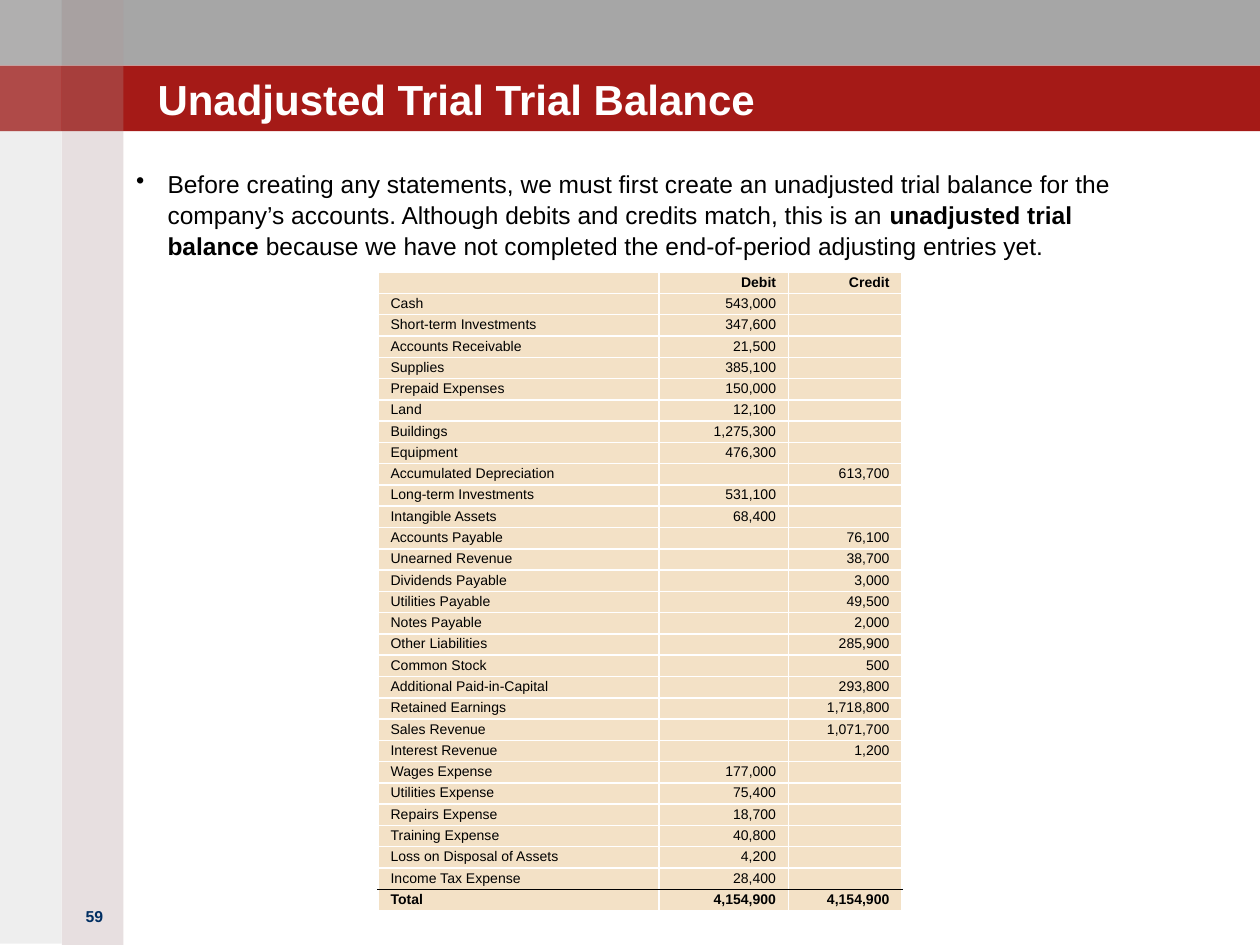
from dataclasses import dataclass

from lxml import etree
from pptx import Presentation
from pptx import util as u
from pptx.dml.color import RGBColor
from pptx.enum import shapes, text
from pptx.oxml.ns import qn


@dataclass(frozen=True)
class Theme:
    font: str = "Arial"
    black: str = "000000"
    white: str = "FFFFFF"
    gray: str = "A6A6A6"
    red: str = "A51A17"
    mauve: str = "A08284"
    taupe: str = "938F8F"
    navy: str = "002E62"
    sand: str = "F3E1C6"
    title_size: float = 24
    body_size: float = 14
    number_size: float = 9
    table_size: float = 8


ACCOUNTS = [
    ("", "Debit", "Credit"),
    ("Cash", "543,000", ""),
    ("Short-term Investments", "347,600", ""),
    ("Accounts Receivable", "21,500", ""),
    ("Supplies", "385,100", ""),
    ("Prepaid Expenses", "150,000", ""),
    ("Land", "12,100", ""),
    ("Buildings", "1,275,300", ""),
    ("Equipment", "476,300", ""),
    ("Accumulated Depreciation", "", "613,700"),
    ("Long-term Investments", "531,100", ""),
    ("Intangible Assets", "68,400", ""),
    ("Accounts Payable", "", "76,100"),
    ("Unearned Revenue", "", "38,700"),
    ("Dividends Payable", "", "3,000"),
    ("Utilities Payable", "", "49,500"),
    ("Notes Payable", "", "2,000"),
    ("Other Liabilities", "", "285,900"),
    ("Common Stock", "", "500"),
    ("Additional Paid-in-Capital", "", "293,800"),
    ("Retained Earnings", "", "1,718,800"),
    ("Sales Revenue", "", "1,071,700"),
    ("Interest Revenue", "", "1,200"),
    ("Wages Expense", "177,000", ""),
    ("Utilities Expense", "75,400", ""),
    ("Repairs Expense", "18,700", ""),
    ("Training Expense", "40,800", ""),
    ("Loss on Disposal of Assets", "4,200", ""),
    ("Income Tax Expense", "28,400", ""),
    ("Total", "4,154,900", "4,154,900"),
]


class SlideBuilder:
    def __init__(self, slide, theme):
        self.slide = slide
        self.theme = theme

    def band(self, left, top, width, height, color, opacity=100):
        rect = self.slide.shapes.add_shape(
            shapes.MSO_SHAPE.RECTANGLE, *map(u.Inches, (left, top, width, height)))
        rect.shadow.inherit = False
        rect.fill.solid()
        rect.fill.fore_color.rgb = RGBColor.from_string(color)
        rect.line.fill.background()
        if opacity < 100:
            fill_color = rect.fill._xPr.find(".//" + qn("a:srgbClr"))
            etree.SubElement(fill_color, qn("a:alpha"), val=str(opacity * 1000))

    def format_run(self, run, size, color, bold=False):
        run.font.name = self.theme.font
        run.font.size = u.Pt(size)
        run.font.bold = bold
        run.font.color.rgb = RGBColor.from_string(color)

    def text_box(self, left, top, width, height, parts, size, color, inset=0,
                 anchor=text.MSO_ANCHOR.TOP, align=text.PP_ALIGN.LEFT):
        """Add one paragraph made of (words, bold) parts and return it."""
        frame = self.slide.shapes.add_textbox(
            *map(u.Inches, (left, top, width, height))).text_frame
        frame.word_wrap = True
        frame.vertical_anchor = anchor
        frame.margin_left = frame.margin_right = u.Inches(inset)
        frame.margin_top = frame.margin_bottom = u.Inches(inset)
        paragraph = frame.paragraphs[0]
        paragraph.alignment = align
        for words, bold in parts:
            run = paragraph.add_run()
            run.text = words
            self.format_run(run, size, color, bold)
        return paragraph

    def bullet(self, paragraph, indent):
        properties = paragraph._p.get_or_add_pPr()
        properties.set("marL", str(u.Inches(indent)))
        properties.set("indent", str(-u.Inches(indent)))
        etree.SubElement(properties, qn("a:buChar"), char="•")

    def cell_border(self, cell, side):
        properties = cell._tc.get_or_add_tcPr()
        line = etree.Element(qn("a:" + side), w=str(u.Pt(1)))
        fill = etree.SubElement(line, qn("a:solidFill"))
        etree.SubElement(fill, qn("a:srgbClr"), val=self.theme.black)
        properties.insert(0, line)

    def ledger(self, left, top, height, widths, rows):
        """Add the table; its first and last rows are bold, the last ruled off."""
        frame = self.slide.shapes.add_table(
            len(rows), len(widths), u.Inches(left), u.Inches(top),
            u.Inches(sum(widths)), u.Inches(height))
        table = frame.table
        table.first_row = table.horz_banding = False
        for column, width in zip(table.columns, widths):
            column.width = u.Inches(width)
        last = len(rows) - 1
        for r, values in enumerate(rows):
            table.rows[r].height = u.Inches(height) // len(rows)
            for c, value in enumerate(values):
                cell = table.cell(r, c)
                self.ledger_cell(cell, value, c > 0, r in (0, last))
                if r == last - 1:
                    self.cell_border(cell, "lnB")
                elif r == last:
                    self.cell_border(cell, "lnT")

    def ledger_cell(self, cell, value, is_amount, bold):
        cell.fill.solid()
        cell.fill.fore_color.rgb = RGBColor.from_string(self.theme.sand)
        cell.margin_left = cell.margin_right = u.Inches(0.1)
        cell.margin_top = cell.margin_bottom = u.Pt(1.3)
        paragraph = cell.text_frame.paragraphs[0]
        if is_amount:
            paragraph.alignment = text.PP_ALIGN.RIGHT
        if value:
            paragraph.text = value
            self.format_run(paragraph.runs[0], self.theme.table_size,
                            self.theme.black, bold)
        else:
            # An empty cell at the default size would stretch its row.
            etree.SubElement(paragraph._p, qn("a:endParaRPr"),
                             sz=str(int(self.theme.table_size * 100)))


def main():
    theme = Theme()
    deck = Presentation()
    deck.slide_width, deck.slide_height = u.Inches(10), u.Inches(7.5)
    page = SlideBuilder(deck.slides.add_slide(deck.slide_layouts[6]), theme)

    header, stripe = 0.52, 0.49
    page.band(0, 0, 10, header, theme.gray)
    page.band(0, header, 10, header, theme.red)
    page.band(stripe, 0, stripe, 7.5, theme.mauve, 25)
    page.band(0, 0, stripe, 7.49, theme.taupe, 15)
    for top in (0, header):
        page.band(stripe, top, stripe, header, theme.white, 5)
        page.band(0, top, stripe, header, theme.white, 15)

    page.text_box(0.5, 7.15, 0.5, 0.3, [("59", True)], theme.number_size, theme.navy,
                  inset=0.05, align=text.PP_ALIGN.CENTER)
    page.text_box(1.25, 0.31, 7.92, 0.67, [("Unadjusted Trial Trial Balance", True)],
                  theme.title_size, theme.white, anchor=text.MSO_ANCHOR.BOTTOM)
    intro = page.text_box(1.08, 1.33, 8.17, 5.83, [
        ("Before creating any statements, we must first create an unadjusted trial "
         "balance for the company’s accounts. Although debits and credits match, "
         "this is an ", False),
        ("unadjusted trial balance ", True),
        ("because we have not completed the end-of-period adjusting entries yet.", False),
    ], theme.body_size, theme.black)
    intro.line_spacing = 1.05
    page.bullet(intro, 0.25)

    page.ledger(3, 2.16, 4.95, (2.23, 1.03, 0.9), ACCOUNTS)
    deck.save("out.pptx")


if __name__ == "__main__":
    main()
